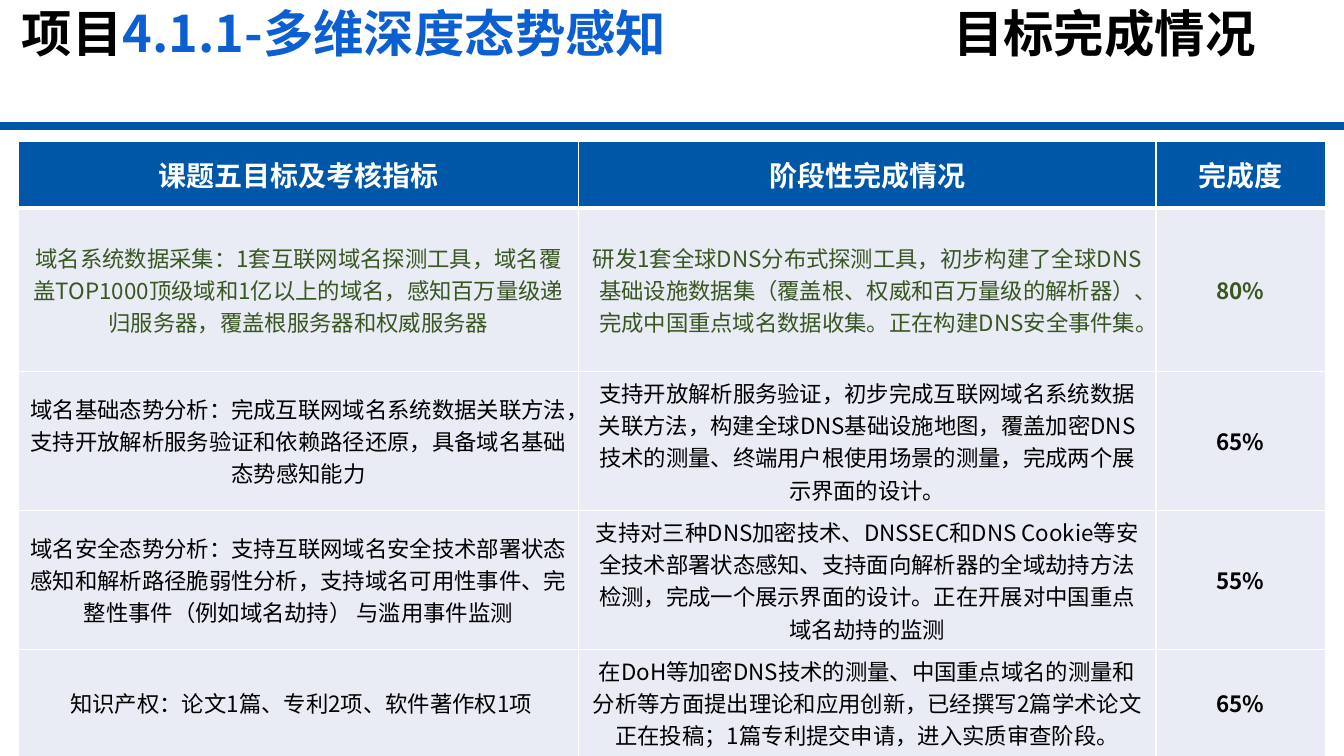
from lxml.etree import SubElement
from pptx import Presentation
from pptx.dml.color import RGBColor
from pptx.enum.lang import MSO_LANGUAGE_ID
from pptx.enum.shapes import MSO_CONNECTOR
from pptx.enum.text import MSO_ANCHOR, PP_ALIGN
from pptx.oxml import parse_xml
from pptx.oxml.ns import nsdecls, qn
from pptx.util import Cm, Pt

COLORS = {
    "header": "0057A7",
    "accent": "0B5FD1",
    "done": "385723",
    "body": "E9EBF5",
    "black": "000000",
    "white": "FFFFFF",
}
SLIDE_WIDTH, SLIDE_HEIGHT = 33.87, 19.05
TITLE_HEIGHT = 3.18
COLUMN_WIDTHS = [14.11, 14.55, 4.27]
ROW_HEIGHTS = [1.68, 4.12, 3.5, 3.5, 2.7]

TITLE_RUNS = [
    ("项目", "black"),
    ("4.1.1-多维深度态势感知", "accent"),
    ("\t目标完成情况", "black"),
]
GOALS = [
    ("课题五目标及考核指标", "阶段性完成情况", "完成度"),
    (
        "域名系统数据采集：1套互联网域名探测工具，域名覆盖TOP1000顶级域和1亿以上的域名，感知百万量级递归服务器，覆盖根服务器和权威服务器",
        "研发1套全球DNS分布式探测工具，初步构建了全球DNS基础设施数据集（覆盖根、权威和百万量级的解析器）、完成中国重点域名数据收集。正在构建DNS安全事件集。",
        "80%",
    ),
    (
        "域名基础态势分析：完成互联网域名系统数据关联方法，支持开放解析服务验证和依赖路径还原，具备域名基础态势感知能力",
        "支持开放解析服务验证，初步完成互联网域名系统数据关联方法，构建全球DNS基础设施地图，覆盖加密DNS技术的测量、终端用户根使用场景的测量，完成两个展示界面的设计。",
        "65%",
    ),
    (
        "域名安全态势分析：支持互联网域名安全技术部署状态感知和解析路径脆弱性分析，支持域名可用性事件、完整性事件（例如域名劫持） 与滥用事件监测",
        "支持对三种DNS加密技术、DNSSEC和DNS Cookie等安全技术部署状态感知、支持面向解析器的全域劫持方法检测，完成一个展示界面的设计。正在开展对中国重点域名劫持的监测",
        "55%",
    ),
    (
        " 知识产权：论文1篇、专利2项、软件著作权1项",
        "在DoH等加密DNS技术的测量、中国重点域名的测量和分析等方面提出理论和应用创新，已经撰写2篇学术论文正在投稿；1篇专利提交申请，进入实质审查阶段。",
        "65%",
    ),
]


class SlideBuilder:
    """Holds the text style and the slide that elements are added to."""

    font_name = "Noto Sans CJK SC"

    def __init__(self, slide):
        self.slide = slide

    def color(self, name):
        return RGBColor.from_string(COLORS[name])

    def format_run(self, run, size, color, bold):
        font = run.font
        font.size, font.bold = Pt(size), bold
        font.color.rgb = self.color(color)
        font.name = self.font_name
        font.language_id = MSO_LANGUAGE_ID.SIMPLIFIED_CHINESE
        properties = run._r.get_or_add_rPr()
        SubElement(properties, qn("a:ea"), typeface=self.font_name)

    def add_title(self, runs, tab_position):
        shape = self.slide.shapes.add_textbox(0, 0, Cm(SLIDE_WIDTH), Cm(TITLE_HEIGHT))
        text_frame = shape.text_frame
        text_frame.word_wrap = True
        text_frame.vertical_anchor = MSO_ANCHOR.TOP
        text_frame.margin_left, text_frame.margin_top = Cm(0.55), Cm(0.22)
        paragraph = text_frame.paragraphs[0]
        paragraph.line_spacing = 0.9
        tabs = SubElement(paragraph._p.get_or_add_pPr(), qn("a:tabLst"))
        SubElement(tabs, qn("a:tab"), pos=str(Cm(tab_position)), algn="l")
        for text, color in runs:
            run = paragraph.add_run()
            run.text = text
            self.format_run(run, 36, color, True)

    def add_rule(self, top, width):
        connector = self.slide.shapes.add_connector(
            MSO_CONNECTOR.STRAIGHT, 0, Cm(top), Cm(SLIDE_WIDTH), Cm(top))
        connector.line.color.rgb = self.color("header")
        connector.line.width = Pt(width)
        SubElement(connector._element.spPr, qn("a:effectLst"))

    def set_borders(self, cell, bottom_width):
        properties = cell._tc.get_or_add_tcPr()
        widths = {"lnL": 1, "lnR": 1, "lnT": 1, "lnB": bottom_width}
        for index, (side, width) in enumerate(widths.items()):
            properties.insert(index, parse_xml(
                f'<a:{side} {nsdecls("a")} w="{Pt(width)}"><a:solidFill>'
                f'<a:srgbClr val="{COLORS["white"]}"/></a:solidFill></a:{side}>'))

    def fill_cell(self, cell, text, fill, size, color, bold):
        cell.fill.solid()
        cell.fill.fore_color.rgb = self.color(fill)
        cell.vertical_anchor = MSO_ANCHOR.MIDDLE
        cell.text_frame.text = text
        paragraph = cell.text_frame.paragraphs[0]
        paragraph.alignment = PP_ALIGN.CENTER
        self.format_run(paragraph.runs[0], size, color, bold)

    def add_goal_table(self, left, top, rows):
        shape = self.slide.shapes.add_table(
            len(rows), len(COLUMN_WIDTHS), Cm(left), Cm(top),
            Cm(sum(COLUMN_WIDTHS)), Cm(sum(ROW_HEIGHTS)))
        table = shape.table
        table.horz_banding = False
        for column, width in zip(table.columns, COLUMN_WIDTHS):
            column.width = Cm(width)
        for row, height in zip(table.rows, ROW_HEIGHTS):
            row.height = Cm(height)
        for row_index, texts in enumerate(rows):
            for column_index, text in enumerate(texts):
                cell = table.cell(row_index, column_index)
                if row_index == 0:
                    self.fill_cell(cell, text, "header", 20, "white", True)
                else:
                    color = "done" if row_index == 1 else "black"
                    self.fill_cell(cell, text, "body", 16, color, column_index == 2)
                self.set_borders(cell, 3 if row_index == 0 else 1)


def main():
    presentation = Presentation()
    presentation.slide_width = Cm(SLIDE_WIDTH)
    presentation.slide_height = Cm(SLIDE_HEIGHT)
    builder = SlideBuilder(presentation.slides.add_slide(presentation.slide_layouts[6]))
    builder.add_rule(TITLE_HEIGHT, 6)
    builder.add_title(TITLE_RUNS, 23.47)
    builder.add_goal_table(0.47, 3.56, GOALS)
    presentation.save("out.pptx")


if __name__ == "__main__":
    main()
